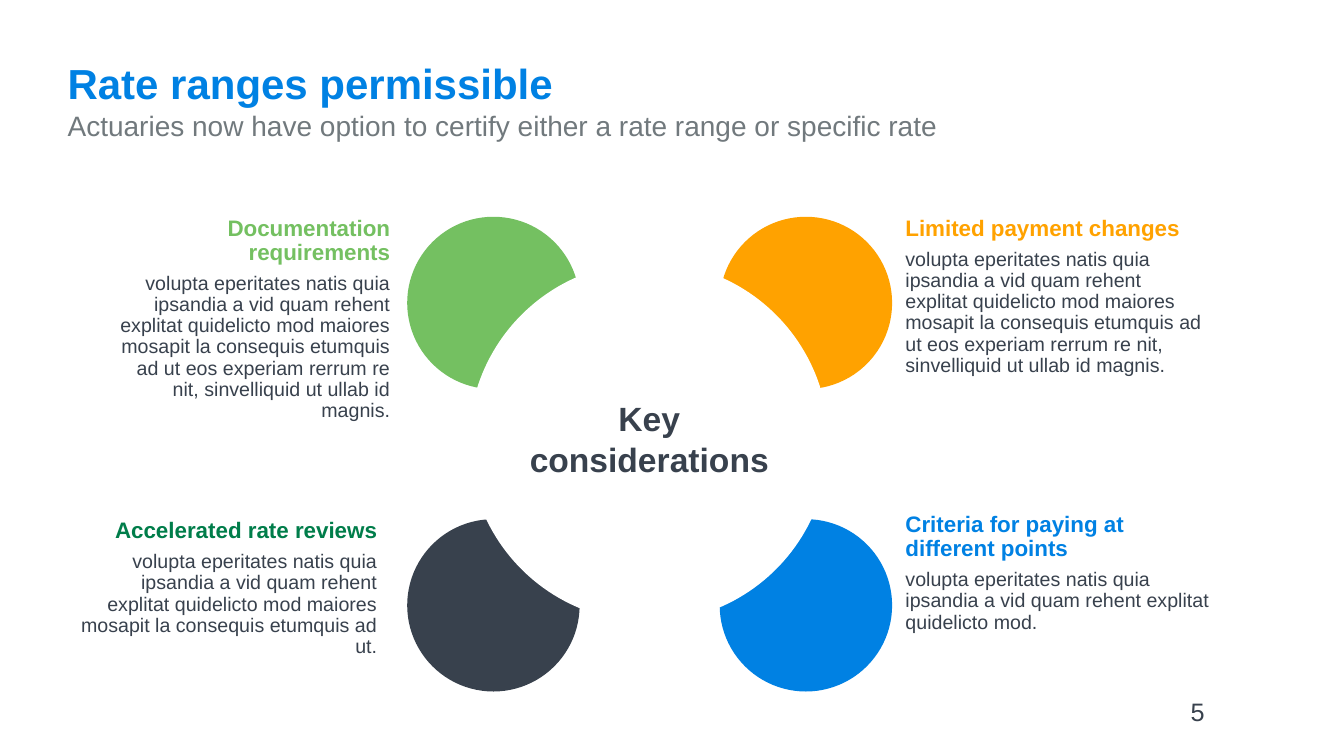
from dataclasses import dataclass

from pptx import Presentation
from pptx.dml.color import RGBColor
from pptx.enum.shapes import MSO_SHAPE
from pptx.enum.text import PP_ALIGN
from pptx.util import Inches, Pt


@dataclass(frozen=True)
class Theme:
    font: str = "Arial"
    blue: str = "0081E3"
    orange: str = "FFA200"
    light_green: str = "74C061"
    dark_green: str = "007D4A"
    slate: str = "38414D"
    grey: str = "71797D"
    white: str = "FFFFFF"
    title: int = 30
    center: int = 24
    subtitle: int = 20
    page: int = 18
    heading: int = 16
    body: int = 14


theme = Theme()
deck = Presentation()
deck.slide_width, deck.slide_height = Inches(13.33), Inches(7.5)
slide = deck.slides.add_slide(deck.slide_layouts[6])


def place(left, top, width, height):
    across, down = deck.slide_width / 100, deck.slide_height / 100
    return [round(n) for n in (left * across, top * down, width * across, height * down)]


def write(area, lines, align=PP_ALIGN.LEFT, inset=True, spacing=None):
    frame = slide.shapes.add_textbox(*place(*area)).text_frame
    frame.word_wrap = True
    if not inset:
        frame.margin_left = frame.margin_top = frame.margin_right = frame.margin_bottom = 0
    for index, (words, size, color, bold) in enumerate(lines):
        paragraph = frame.add_paragraph() if index else frame.paragraphs[0]
        paragraph.alignment = align
        if spacing:
            paragraph.line_spacing = spacing
        if index:
            paragraph.space_before = Pt(6)
        run = paragraph.add_run()
        run.text = words
        run.font.name, run.font.size, run.font.bold = theme.font, Pt(size), bold
        run.font.color.rgb = RGBColor.from_string(color)


left_column, right_column = 30.3, 53.55
upper_row, lower_row = 28.67, 68.67
petal_size = (12.83, 22.8)
discs = [
    (right_column, upper_row, *petal_size, theme.orange),
    (left_column, lower_row, *petal_size, theme.slate),
    (right_column, lower_row, *petal_size, theme.blue),
    (left_column, upper_row, *petal_size, theme.light_green),
    (34.88, 34.67, 26.78, 47.6, theme.white),
]
for *area, color in discs:
    disc = slide.shapes.add_shape(MSO_SHAPE.OVAL, *place(*area))
    disc.shadow.inherit = False
    disc.fill.solid()
    disc.fill.fore_color.rgb = RGBColor.from_string(color)
    disc.line.fill.background()

write((5.03, 7.6, 90, 6),
      [("Rate ranges permissible", theme.title, theme.blue, True)], inset=False)
write((5.03, 14.4, 90, 5.6),
      [("Actuaries now have option to certify either a rate range or specific rate",
        theme.subtitle, theme.grey, False)], inset=False)

opening = "volupta eperitates natis quia ipsandia a vid quam rehent explitat quidelicto mod"
middle = opening + " maiores mosapit la consequis etumquis ad ut"
full = middle + " eos experiam rerrum re nit, sinvelliquid ut ullab id magnis."
considerations = [
    ((8.4, upper_row, 20.63, 27.33), PP_ALIGN.RIGHT,
     "Documentation requirements", theme.light_green, full),
    ((67.37, upper_row, 22.5, 21.33), PP_ALIGN.LEFT,
     "Limited payment changes", theme.orange, full),
    ((67.37, 67.87, 23.1, 16), PP_ALIGN.LEFT,
     "Criteria for paying at different points", theme.blue, opening + "."),
    ((5.93, lower_row, 22.13, 18.53), PP_ALIGN.RIGHT,
     "Accelerated rate reviews", theme.dark_green, middle + "."),
]
for area, align, heading, color, detail in considerations:
    write(area, [(heading, theme.heading, color, True),
                 (detail, theme.body, theme.slate, False)],
          align, inset=False, spacing=0.9)

write((37.36, 52, 21.9, 12.13),
      [("Key considerations", theme.center, theme.slate, True)], PP_ALIGN.CENTER)
write((87.85, 91.47, 4.35, 3.33), [("5", theme.page, theme.slate, False)])

deck.save("out.pptx")
